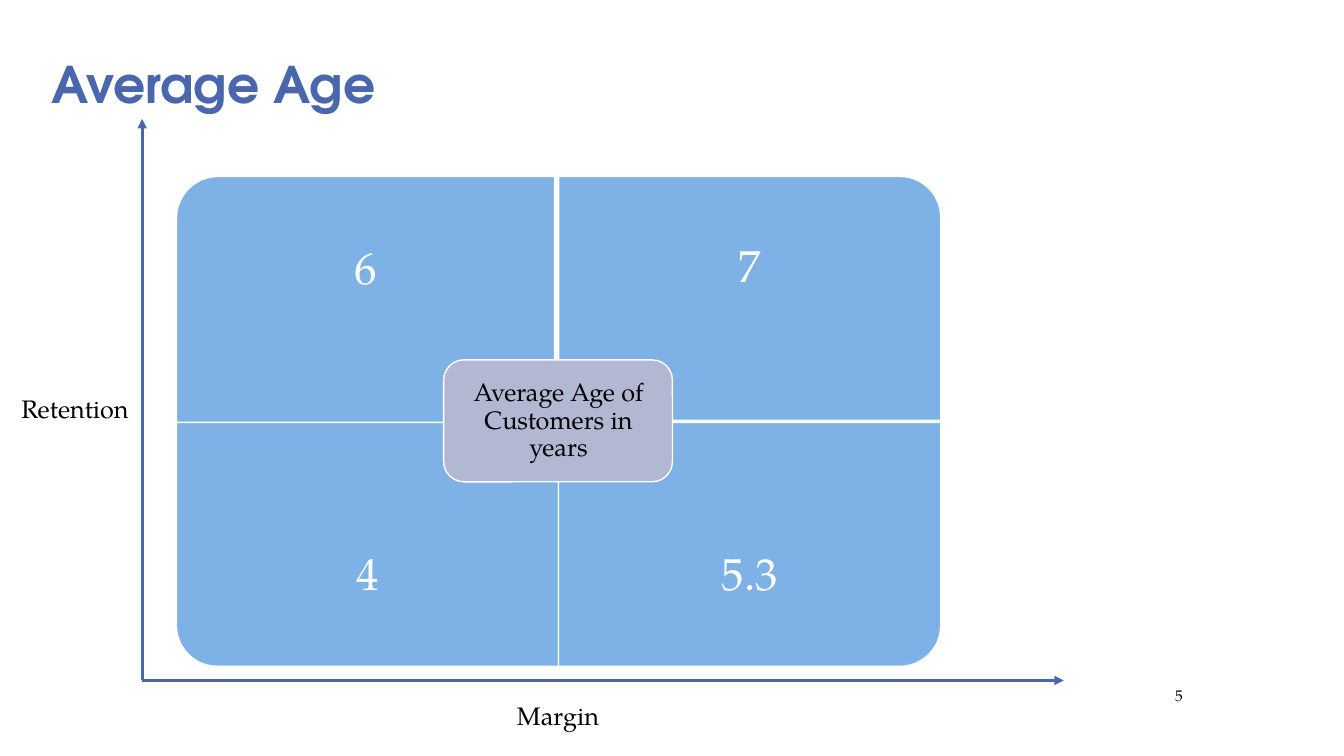
import pptx
import pptx.util
import pptx.dml.color
import pptx.enum.shapes
import pptx.enum.text
import pptx.oxml
import pptx.oxml.ns
from pptx.util import Inches

Pt = pptx.util.Pt
SHAPE = pptx.enum.shapes.MSO_SHAPE
ALIGN = pptx.enum.text.PP_ALIGN
ANCHOR = pptx.enum.text.MSO_ANCHOR

HEADING_FONT = "TeX Gyre Adventor"
BODY_FONT = "TeX Gyre Pagella"
INDIGO = "4A66AC"
SKY = "7EB2E6"
LAVENDER = "B2B8D2"
WHITE = "FFFFFF"
BLACK = "000000"


def paint(color_format, color):
    color_format.rgb = pptx.dml.color.RGBColor.from_string(color)


def add_label(slide, text, left, top, width, height, size, color=BLACK,
              font=BODY_FONT, bold=False, align=ALIGN.CENTER,
              anchor=ANCHOR.MIDDLE, spacing=1.0, inset=None):
    label = slide.shapes.add_textbox(
        Inches(left), Inches(top), Inches(width), Inches(height))
    frame = label.text_frame
    frame.word_wrap = True
    frame.vertical_anchor = anchor
    if inset is not None:
        frame.margin_left = frame.margin_right = Inches(inset)
        frame.margin_top = frame.margin_bottom = Inches(inset)
    frame.text = text
    paragraph = frame.paragraphs[0]
    paragraph.alignment = align
    paragraph.line_spacing = spacing
    for run in paragraph.runs:
        run.font.name = font
        run.font.size = Pt(size)
        run.font.bold = bold
        paint(run.font.color, color)


def add_panel(slide, preset, left, top, width, height, color, rotation=0):
    if rotation in (90, 270):
        left, top = left + (width - height) / 2, top + (height - width) / 2
        width, height = height, width
    panel = slide.shapes.add_shape(
        preset, Inches(left), Inches(top), Inches(width), Inches(height))
    panel.rotation = rotation
    panel.shadow.inherit = False
    panel.fill.solid()
    paint(panel.fill.fore_color, color)
    paint(panel.line.color, WHITE)
    panel.line.width = Pt(1)


def add_axis(slide, start, end):
    axis = slide.shapes.add_connector(
        pptx.enum.shapes.MSO_CONNECTOR.STRAIGHT,
        *(Inches(value) for value in start + end))
    paint(axis.line.color, INDIGO)
    axis.line.width = Pt(2.25)
    arrowhead = pptx.oxml.parse_xml(
        '<a:tailEnd %s type="triangle"/>' % pptx.oxml.ns.nsdecls("a"))
    axis.line._get_or_add_ln().append(arrowhead)
    axis._element.spPr.append(pptx.oxml.parse_xml(
        "<a:effectLst %s/>" % pptx.oxml.ns.nsdecls("a")))


def add_quadrant(slide, age, left, top, width, height, rotation,
                 label_top, label_height):
    add_panel(slide, SHAPE.ROUND_1_RECTANGLE, left, top, width, height,
              SKY, rotation)
    add_label(slide, age, left, label_top, width, label_height, 32, WHITE,
              spacing=0.9, inset=0.25)


def main():
    deck = pptx.Presentation()
    deck.slide_width, deck.slide_height = Inches(13.33), Inches(7.5)
    slide = deck.slides.add_slide(deck.slide_layouts[6])

    add_label(slide, "Average Age", 0.41, 0, 9.5, 1.17, 36, INDIGO,
              HEADING_FONT, True, ALIGN.LEFT, ANCHOR.BOTTOM, 0.8)

    quadrants = [
        ("6", 1.75, 1.75, 3.75, 2.48, 270, 1.75, 1.86),
        ("7", 5.54, 1.75, 3.79, 2.42, 0, 1.75, 1.82),
        ("4", 1.75, 4.19, 3.79, 2.42, 180, 4.8, 1.82),
        ("5.3", 5.54, 4.19, 3.79, 2.42, 90, 4.8, 1.82),
    ]
    for quadrant in quadrants:
        add_quadrant(slide, *quadrant)

    add_panel(slide, SHAPE.ROUNDED_RECTANGLE, 4.4, 3.57, 2.27, 1.21, LAVENDER)
    add_label(slide, "Average Age of Customers in years",
              4.46, 3.63, 2.16, 1.09, 18, spacing=0.9, inset=0.07)

    origin = (1.41, 6.75)
    add_axis(slide, origin, (1.41, 1.18))
    add_axis(slide, origin, (10.55, 6.75))
    add_label(slide, "Retention", 0.08, 3.85, 1.33, 0.4, 18)
    add_label(slide, "Margin", 4.87, 6.9, 1.33, 0.4, 18)
    add_label(slide, "5", 10.5, 6.75, 1.33, 0.3, 11, align=ALIGN.RIGHT)

    deck.save("out.pptx")


main()
